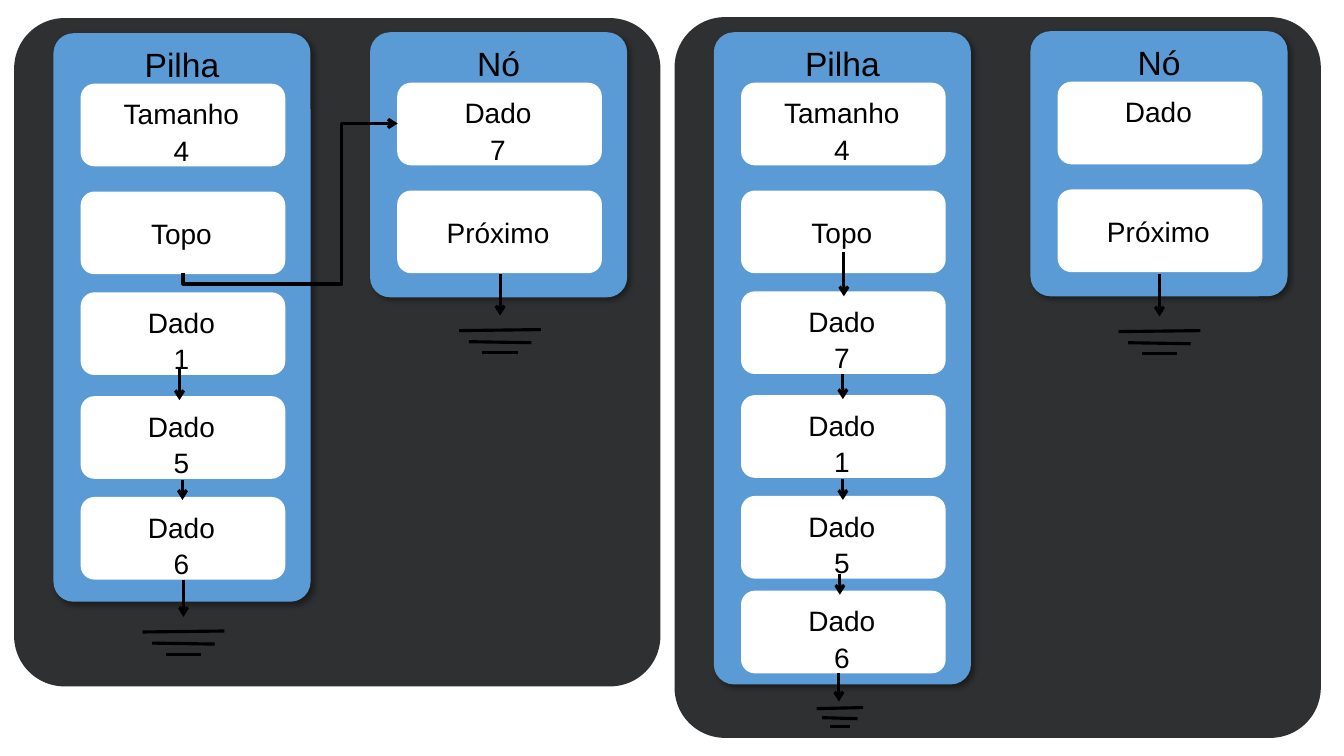
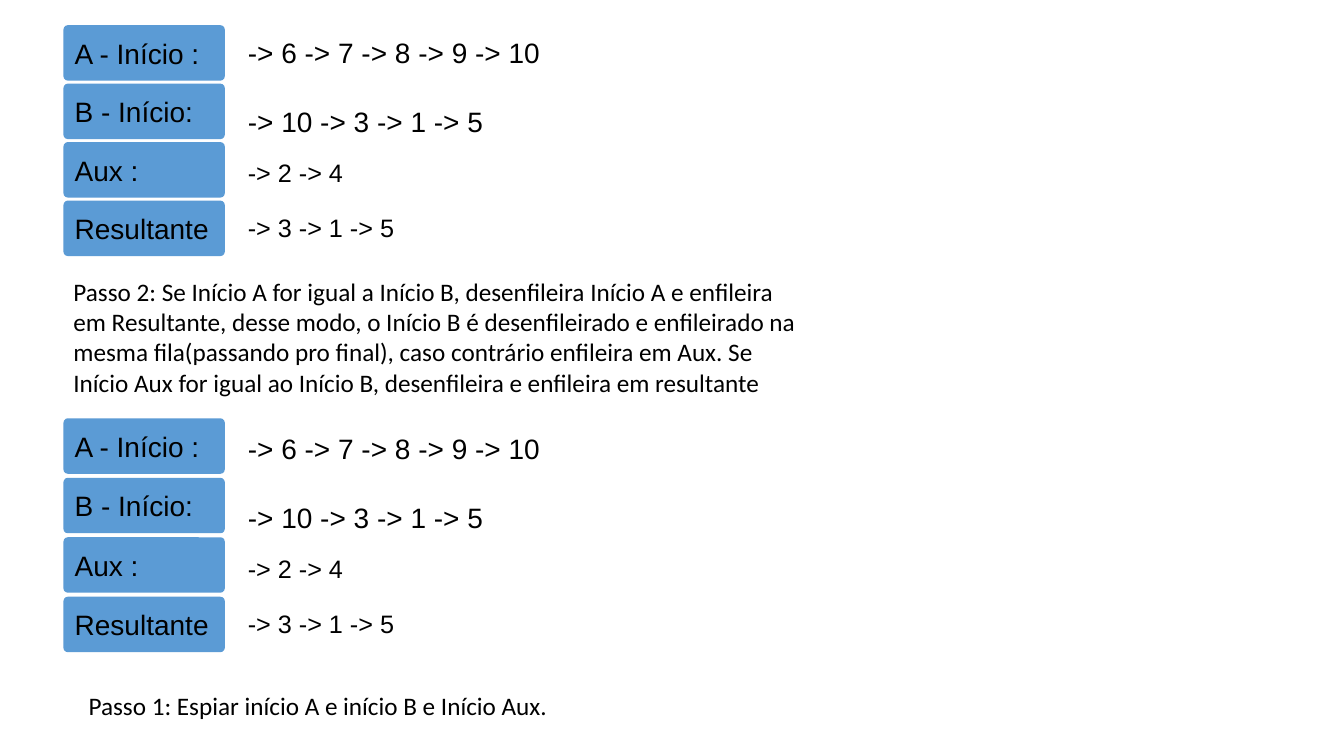
from pptx import Presentation
from pptx.dml.color import RGBColor
from pptx.enum.shapes import MSO_CONNECTOR as Conn, MSO_SHAPE as Shape
from pptx.enum.text import MSO_ANCHOR as Anchor, PP_ALIGN as Align
from pptx.oxml import parse_xml
from pptx.oxml.ns import nsdecls, qn
from pptx.util import Inches, Pt

BLUE, DARK, WHITE, BLACK = "5B9BD5", "2F3031", "FFFFFF", "000000"
ROUND = 0.078

# Slide 1: left, top, width, height of the dark boards
BOARDS = [(0.14, 0.18, 6.41, 6.63), (6.69, 0.17, 6.41, 7.15)]
# left, top, height, title, cells (None: single centred line)
PANELS = [
    (3.67, 0.32, 2.63, "Nó", [("Dado", "7"), ("Próximo", None)]),
    (0.53, 0.33, 5.64, "Pilha",
     [("Tamanho", "4"), ("Topo", None), ("Dado", "1"), ("Dado", "5"), ("Dado", "6")]),
    (7.08, 0.32, 6.47, "Pilha",
     [("Tamanho", "4"), ("Topo", None), ("Dado", "7"), ("Dado", "1"), ("Dado", "5"),
      ("Dado", "6")]),
    (10.22, 0.31, 2.63, "Nó", [("Dado", ""), ("Próximo", None)]),
]
CELL_TOPS = [0.5, 1.57, 2.57, 3.6, 4.6, 5.54]
# x, y start, y end
ARROWS = [
    (1.78, 3.64, 3.97), (1.81, 4.76, 4.96), (1.82, 5.75, 6.12), (4.96, 2.72, 3.13),
    (8.37, 2.5, 2.94), (8.36, 3.71, 3.96), (8.36, 4.75, 4.96), (8.33, 5.69, 5.9),
    (8.32, 6.68, 6.96), (11.5, 2.72, 3.14),
]
# centre, top, width scale, gap between bars
GROUNDS = [(1.82, 6.27, 1, 0.11), (4.96, 3.28, 1, 0.11), (11.5, 3.29, 1, 0.11),
           (8.33, 7.03, 0.57, 0.09)]
BARS = [(0.81, -0.01), (0.62, 0.01), (0.35, 0)]  # width, rise

# Slide 2: label, chain, chain offset, chain size
QUEUES = [
    ("A - Início :", "-> 6 -> 7 -> 8 -> 9 -> 10", 0, 20),
    ("B - Início:", "-> 10 -> 3 -> 1 -> 5", 0.69, 20),
    ("Aux :", "-> 2 -> 4", 1.21, 18),
    ("Resultante", "-> 3 -> 1 -> 5", 1.76, 18),
]
BLOCKS = [(0.25, 0.58, 0.3), (4.15, 0.59, 4.23)]  # top, pitch, chain top
STEPS = [
    (0.63, 2.69, 7.51, 1.31,
     "Passo 2: Se Início A for igual a Início B, desenfileira Início A e enfileira em "
     "Resultante, desse modo, o Início B é desenfileirado e enfileirado na mesma "
     "fila(passando pro final), caso contrário enfileira em Aux. Se Início Aux for igual "
     "ao Início B, desenfileira e enfileira em resultante"),
    (0.78, 6.8, 4.88, 0.4, "Passo 1: Espiar início A e início B e Início Aux."),
]


def color(text):
    return RGBColor.from_string(text)


def style(frame, size, align=Align.LEFT, font="Arial"):
    for para in frame.paragraphs:
        para.alignment = align
        for run in para.runs:
            run.font.size = Pt(size)
            run.font.name = font
            run.font.color.rgb = color(BLACK)


def box(slide, x, y, w, h, fill, adj=None):
    """Add a rounded box without outline or shadow."""
    shape = slide.shapes.add_shape(Shape.ROUNDED_RECTANGLE,
                                   Inches(x), Inches(y), Inches(w), Inches(h))
    shape.shadow.inherit = False
    shape.fill.solid()
    shape.fill.fore_color.rgb = color(fill)
    shape.line.fill.background()
    if adj is not None:
        shape.adjustments[0] = adj
    return shape


def shade(shape):
    """Give a shape a soft shadow to the lower right."""
    props = shape._element.spPr
    props.remove(props.find(qn("a:effectLst")))
    props.append(parse_xml(
        f'<a:effectLst {nsdecls("a")}><a:outerShdw blurRad="{Pt(4)}" dist="{Pt(3)}" '
        'dir="2700000" algn="tl" rotWithShape="0"><a:srgbClr val="000000">'
        '<a:alpha val="40000"/></a:srgbClr></a:outerShdw></a:effectLst>'))


def line(slide, x1, y1, x2, y2, arrow=False, kind=Conn.STRAIGHT):
    conn = slide.shapes.add_connector(kind, Inches(x1), Inches(y1), Inches(x2), Inches(y2))
    conn.line.width = Pt(2.25)
    conn.line.color.rgb = color(BLACK)
    props = conn._element.spPr
    if arrow:
        props.find(qn("a:ln")).append(
            parse_xml(f'<a:tailEnd {nsdecls("a")} type="arrow"/>'))
    props.append(parse_xml(f'<a:effectLst {nsdecls("a")}/>'))
    return conn


def bend(slide):
    """Lead from Topo round to the node's Dado cell."""
    conn = line(slide, 3.62, 3.03, 2.14, 0.9, True, Conn.ELBOW)
    props = conn._element.spPr
    props.find(qn("a:xfrm")).set("rot", "5400000")
    props.replace(props.find(qn("a:prstGeom")), parse_xml(
        f'<a:prstGeom {nsdecls("a")} prst="bentConnector4"><a:avLst>'
        '<a:gd name="adj1" fmla="val -7600"/><a:gd name="adj2" fmla="val 73900"/>'
        '</a:avLst></a:prstGeom>'))


def cell(slide, x, y, label, value):
    frame = box(slide, x, y, 2.03, 0.82, WHITE).text_frame
    frame.margin_left = frame.margin_bottom = 0
    frame.margin_right = Inches(0.03)
    frame.margin_top = 0 if value is None else Inches(0.09)
    frame.vertical_anchor = Anchor.MIDDLE if value is None else Anchor.TOP
    frame.text = label
    if value:
        para = frame.add_paragraph()
        para.text = value
        para.space_before = Pt(2)
    style(frame, 20, Align.CENTER)


def panel(slide, x, y, h, title, cells):
    shape = box(slide, x, y, 2.55, h, BLUE, ROUND)
    shade(shape)
    frame = shape.text_frame
    frame.margin_top = Inches(0.05)
    frame.vertical_anchor = Anchor.TOP
    frame.text = title
    style(frame, 24, Align.CENTER)
    for top, (label, value) in zip(CELL_TOPS, cells):
        cell(slide, x + 0.27, y + top, label, value)


def ground(slide, mid, top, scale, gap):
    for i, (width, rise) in enumerate(BARS):
        half, y = width * scale / 2, top + i * gap
        line(slide, mid - half, y, mid + half, y + rise)


def note(slide, x, y, w, h, text, size, font="Arial"):
    frame = slide.shapes.add_textbox(Inches(x), Inches(y), Inches(w), Inches(h)).text_frame
    frame.word_wrap = True
    frame.text = text
    style(frame, size, font=font)


def stacks(slide):
    for board in BOARDS:
        box(slide, *board, DARK, ROUND)
    for item in PANELS:
        panel(slide, *item)
    for x, y1, y2 in ARROWS:
        line(slide, x, y1, x, y2, True)
    for item in GROUNDS:
        ground(slide, *item)
    bend(slide)


def queues(slide):
    for top, pitch, first in BLOCKS:
        for i, (label, chain, down, size) in enumerate(QUEUES):
            frame = box(slide, 0.63, top + i * pitch, 1.6, 0.55, BLUE, ROUND).text_frame
            frame.vertical_anchor = Anchor.MIDDLE
            frame.margin_right = 0
            frame.text = label
            style(frame, 20)
            note(slide, 2.36, first + down, 6.04, 0.44, chain, size)
    for x, y, w, h, text in STEPS:
        note(slide, x, y, w, h, text, 18, "Calibri")


def main():
    deck = Presentation()
    deck.slide_width, deck.slide_height = Inches(13.33), Inches(7.5)
    for draw in (stacks, queues):
        draw(deck.slides.add_slide(deck.slide_layouts[6]))
    deck.save("out.pptx")


if __name__ == "__main__":
    main()
